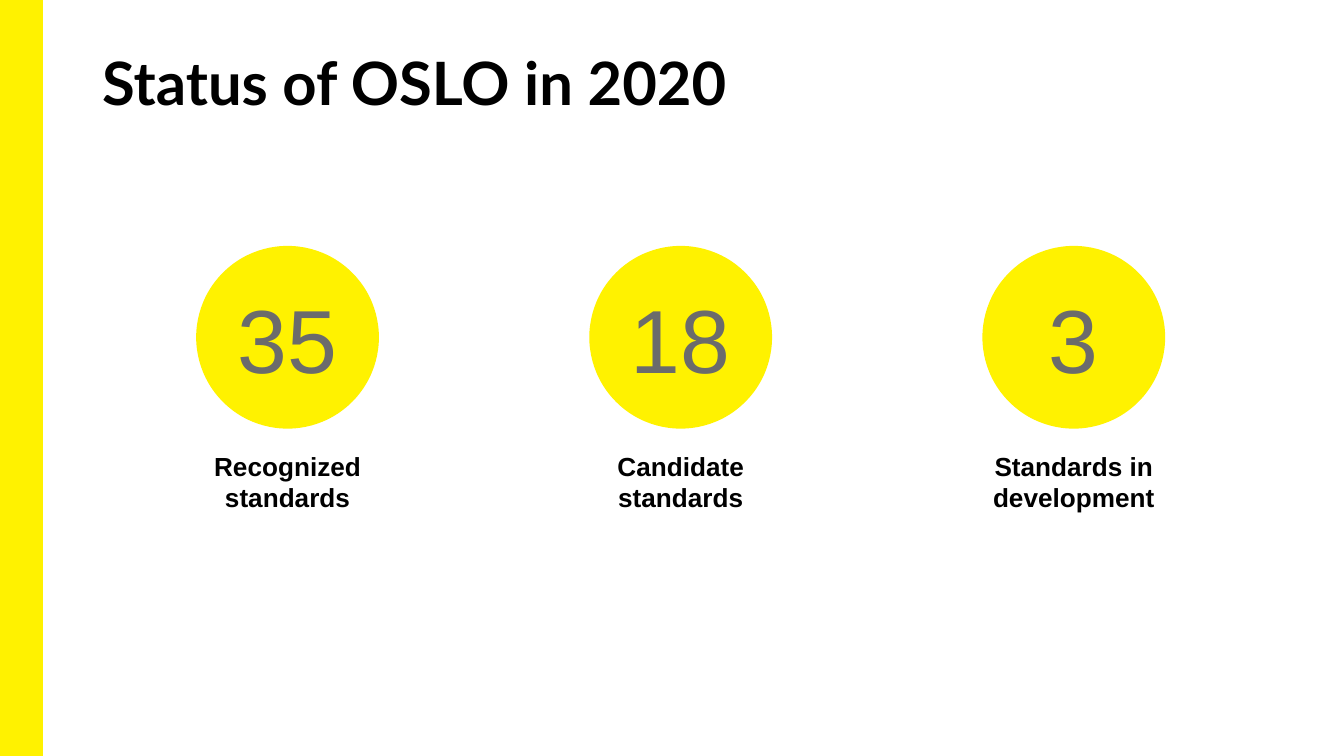
from pptx import Presentation
from pptx.dml.color import RGBColor
from pptx.enum.shapes import MSO_SHAPE as Shape
from pptx.enum.text import MSO_ANCHOR as Anchor, MSO_AUTO_SIZE as AutoSize, PP_ALIGN as Align
from pptx.util import Inches, Pt

WIDTH = 10
HEIGHT = WIDTH * 9 / 16
FIRST_CENTER, LAST_CENTER = 2.14, 7.99
CIRCLE_TOP, CIRCLE_SIZE = 1.83, 1.36
LABEL_TOP, LABEL_WIDTH, LABEL_HEIGHT = 3.3, 1.62, 0.57
YELLOW, GREY, BLACK = "FFF200", "6B6B6B", "000000"
STATUSES = [
    ("35", "Recognized standards"),
    ("18", "Candidate standards"),
    ("3", "Standards in development"),
]
COLUMN_STEP = (LAST_CENTER - FIRST_CENTER) / (len(STATUSES) - 1)


def color(value):
    """Turn a hex string into a colour."""
    return RGBColor.from_string(value)


def write(box, text, *, size, font="Arial", fill=BLACK, bold=False,
          align=Align.CENTER, anchor=Anchor.TOP, fit=AutoSize.NONE):
    """Put formatted text into a shape."""
    frame = box.text_frame
    frame.word_wrap = True
    frame.auto_size = fit
    frame.vertical_anchor = anchor
    para = frame.paragraphs[0]
    para.alignment = align
    span = para.add_run()
    span.text = text
    span.font.name = font
    span.font.size = Pt(size)
    span.font.bold = bold
    span.font.color.rgb = color(fill)


def add_filled(slide, kind, left, top, width, height):
    """Add a plain yellow shape without outline or shadow."""
    shape = slide.shapes.add_shape(kind, *map(Inches, (left, top, width, height)))
    shape.shadow.inherit = False
    shape.fill.solid()
    shape.fill.fore_color.rgb = color(YELLOW)
    shape.line.fill.background()
    return shape


def add_side_bar(slide):
    """Add the outlined bar along the left edge."""
    bar = add_filled(slide, Shape.RECTANGLE, 0, 0, 0.31, HEIGHT)
    bar.line.color.rgb = color(YELLOW)
    bar.line.width = Pt(1)


def add_title(slide, text):
    """Place and fill the title placeholder."""
    title = slide.shapes.title
    title.left, title.top, title.width, title.height = map(Inches, (0.69, 0.3, 8.62, 0.81))
    frame = title.text_frame
    frame.margin_left = frame.margin_right = Inches(0.07)
    frame.margin_top = frame.margin_bottom = Inches(0.04)
    write(title, text, size=32, font="Lato", bold=True, align=Align.LEFT)


def add_status(slide, column, count, label):
    """Add a count in a circle with its label below."""
    center = FIRST_CENTER + column * COLUMN_STEP
    circle = add_filled(slide, Shape.OVAL, center - CIRCLE_SIZE / 2, CIRCLE_TOP,
                        CIRCLE_SIZE, CIRCLE_SIZE)
    write(circle, count, size=48, fill=GREY, anchor=Anchor.MIDDLE)
    box = slide.shapes.add_textbox(Inches(center - LABEL_WIDTH / 2), Inches(LABEL_TOP),
                                   Inches(LABEL_WIDTH), Inches(LABEL_HEIGHT))
    write(box, label, size=14, bold=True, fit=AutoSize.SHAPE_TO_FIT_TEXT)


def main():
    """Build the status slide and save it."""
    deck = Presentation()
    deck.slide_width, deck.slide_height = Inches(WIDTH), Inches(HEIGHT)
    slide = deck.slides.add_slide(deck.slide_layouts[5])
    add_side_bar(slide)
    for column, (count, label) in enumerate(STATUSES):
        add_status(slide, column, count, label)
    add_title(slide, "Status of OSLO in 2020")
    deck.save("out.pptx")


if __name__ == "__main__":
    main()
